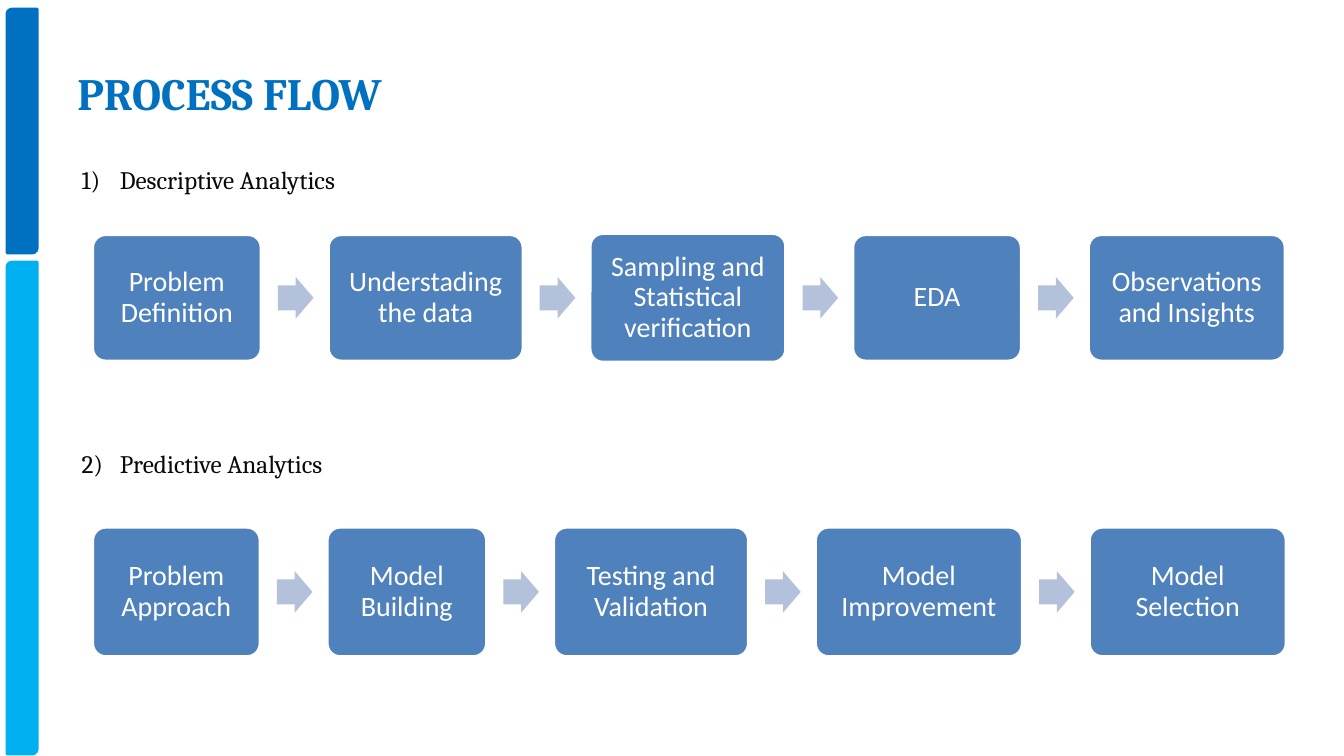
import pptx
import pptx.dml.color
import pptx.enum.shapes
import pptx.enum.text
import pptx.oxml
import pptx.oxml.ns
import pptx.util

SHAPE = pptx.enum.shapes.MSO_SHAPE
ALIGN = pptx.enum.text.PP_ALIGN
MIDDLE = pptx.enum.text.MSO_ANCHOR.MIDDLE

PAGE_WIDTH = pptx.util.Inches(13.33)
PAGE_HEIGHT = pptx.util.Inches(7.5)

COLOURS = {
    "title": "0070C0",
    "upper bar": "0070C0",
    "lower bar": "00B0F0",
    "heading": "090909",
    "stage": "4F81BD",
    "arrow": "B3C1DB",
    "white": "FFFFFF",
}

# All lengths are percentages of the page width or height.
FLOW_LEFT = 6.9
STAGE_GAP = 5
ARROW_WIDTH, ARROW_HEIGHT = 2.65, 5.5

# Each stage: wording, width, height.
DESCRIPTIVE_STAGES = [
    ("Problem Definition", 12.53, 16.7),
    ("Understading the data", 14.48, 16.7),
    ("Sampling and Statistical verification", 14.55, 17),
    ("EDA", 12.53, 16.7),
    ("Observations and Insights", 14.63, 16.7),
]
PREDICTIVE_STAGES = [
    ("Problem Approach", 12.45, 17.1),
    ("Model Building", 11.85, 17.1),
    ("Testing and Validation", 14.48, 17.1),
    ("Model Improvement", 15.38, 17.1),
    ("Model Selection", 14.63, 17.1),
]


def colour(name):
    return pptx.dml.color.RGBColor.from_string(COLOURS[name])


def area(left, top, width, height):
    """Turn percentages of the page into lengths."""
    return (int(PAGE_WIDTH * left / 100), int(PAGE_HEIGHT * top / 100),
            int(PAGE_WIDTH * width / 100), int(PAGE_HEIGHT * height / 100))


def set_font(para, name, size, colour_name, bold=False):
    para.font.name = name
    para.font.size = pptx.util.Pt(size)
    para.font.bold = bold
    para.font.color.rgb = colour(colour_name)


def add_block(page, kind, place, fill, line=None):
    block = page.shapes.add_shape(kind, *area(*place))
    block.shadow.inherit = False
    block.fill.solid()
    block.fill.fore_color.rgb = colour(fill)
    if line:
        block.line.color.rgb = colour(line)
        block.line.width = pptx.util.Pt(2)
    else:
        block.line.fill.background()
    return block


def add_title(page, text):
    title = page.shapes.title
    title.left, title.top, title.width, title.height = area(5, 3.87, 90, 16.67)
    title.text_frame.text = text
    title.text_frame.vertical_anchor = MIDDLE
    para = title.text_frame.paragraphs[0]
    para.alignment = ALIGN.LEFT
    set_font(para, "Cambria", 32, "title", bold=True)


def add_heading(page, number, text, top):
    box = page.shapes.add_textbox(*area(5.33, top, 21.3, 5.6))
    box.text_frame.word_wrap = False
    para = box.text_frame.paragraphs[0]
    para.text = text
    para.alignment = ALIGN.JUSTIFY
    para.line_spacing = 1.15
    set_font(para, "Cambria", 18, "heading")
    indent = pptx.util.Inches(0.38)
    properties = para._p.get_or_add_pPr()
    properties.set("marL", str(indent))
    properties.set("indent", str(-indent))
    namespace = pptx.oxml.ns.nsdecls("a")
    properties.append(pptx.oxml.parse_xml(
        f'<a:buAutoNum {namespace} type="arabicParenR" startAt="{number}"/>'))


def add_stage(page, text, place):
    stage = add_block(page, SHAPE.ROUNDED_RECTANGLE, place, "stage", "white")
    stage.adjustments[0] = 0.1
    frame = stage.text_frame
    frame.word_wrap = True
    frame.vertical_anchor = MIDDLE
    inset = pptx.util.Inches(0.08)
    frame.margin_left = frame.margin_right = inset
    frame.margin_top = frame.margin_bottom = inset
    para = frame.paragraphs[0]
    para.text = text
    para.alignment = ALIGN.CENTER
    para.line_spacing = 0.9
    set_font(para, "Calibri", 20, "white")


def add_arrow(page, left, middle):
    place = (left, middle - ARROW_HEIGHT / 2, ARROW_WIDTH, ARROW_HEIGHT)
    arrow = add_block(page, SHAPE.RIGHT_ARROW, place, "arrow")
    arrow.adjustments[0] = 0.6
    arrow.adjustments[1] = 0.5


def add_flow(page, stages, middle):
    """Lay stages left to right around one middle line, an arrow in each gap."""
    left = FLOW_LEFT
    for index, (text, width, height) in enumerate(stages):
        if index:
            add_arrow(page, left - STAGE_GAP * 0.75, middle)
        add_stage(page, text, (left, middle - height / 2, width, height))
        left += width + STAGE_GAP


def main():
    deck = pptx.Presentation()
    deck.slide_width, deck.slide_height = PAGE_WIDTH, PAGE_HEIGHT
    page = deck.slides.add_slide(deck.slide_layouts.get_by_name("Title Only"))
    for name, top, height in (("upper bar", 1.2, 32.27), ("lower bar", 34.67, 65.07)):
        add_block(page, SHAPE.ROUND_2_DIAG_RECTANGLE, (0.52, top, 2.25, height), name, name)
    add_title(page, "PROCESS FLOW")
    add_heading(page, 1, "Descriptive Analytics", 20.5)
    add_flow(page, DESCRIPTIVE_STAGES, 39.4)
    add_heading(page, 2, "Predictive Analytics", 58)
    add_flow(page, PREDICTIVE_STAGES, 78.3)
    deck.save("out.pptx")


if __name__ == "__main__":
    main()
